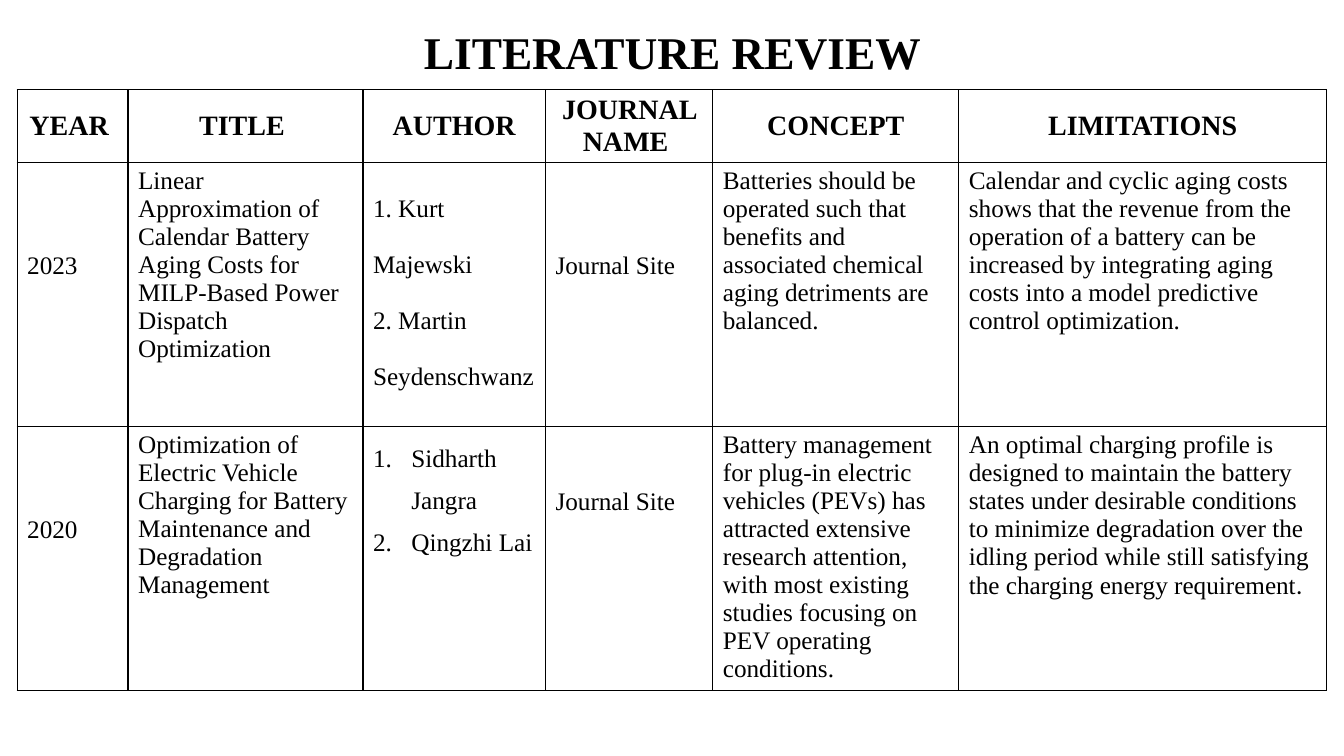
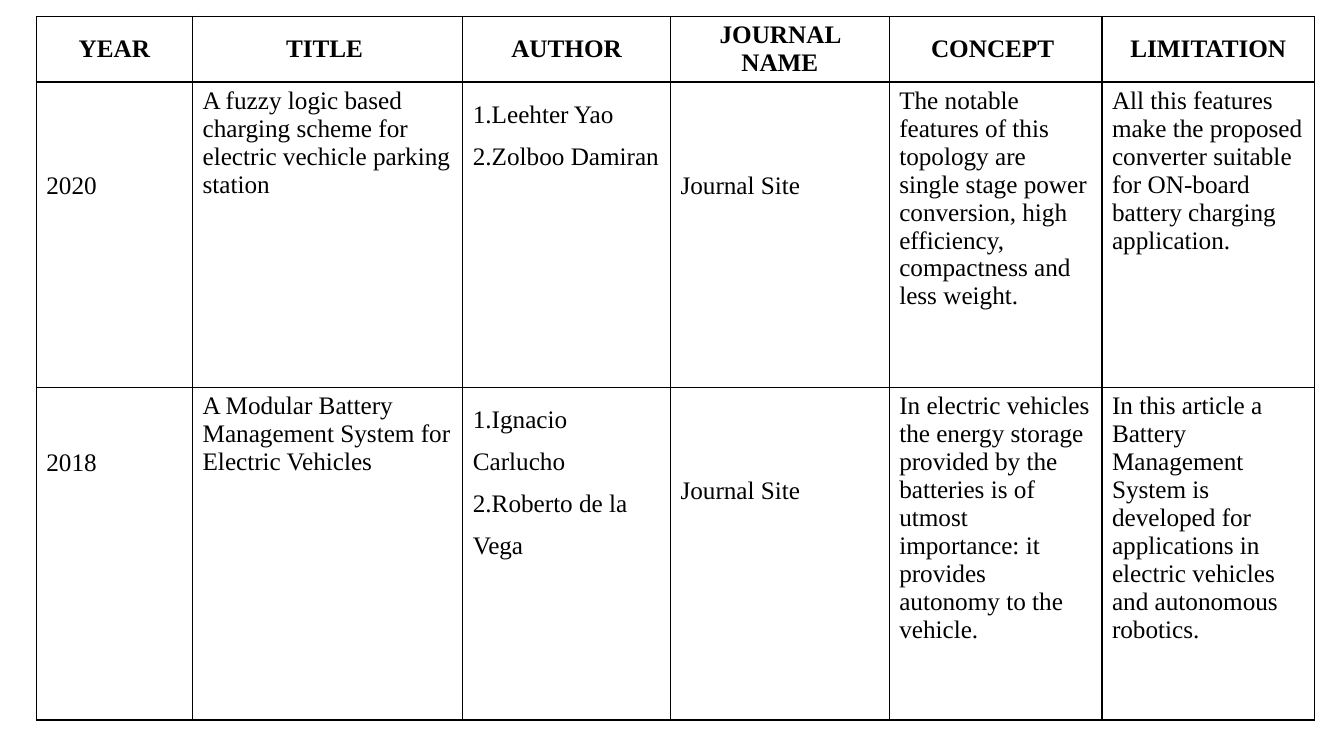
from dataclasses import dataclass

from lxml import etree
from pptx import Presentation
from pptx.dml.color import RGBColor
from pptx.enum.text import MSO_ANCHOR, MSO_AUTO_SIZE, PP_ALIGN
from pptx.oxml.ns import qn
from pptx.util import Inches, Pt

CENTER, LEFT = PP_ALIGN.CENTER, PP_ALIGN.LEFT
MIDDLE, TOP = MSO_ANCHOR.MIDDLE, MSO_ANCHOR.TOP
NO_AUTOFIT = MSO_AUTO_SIZE.NONE
TITLE_ONLY_LAYOUT, BLANK_LAYOUT = 5, 6


@dataclass(frozen=True)
class Theme:
    font: str = "Times New Roman"
    closing_font: str = "Calibri"
    ink: RGBColor = RGBColor(0, 0, 0)
    title_size: float = 32.4
    body_size: float = 18
    border_width: float = 1
    cell_inset: float = 0.05
    line_height: float = 0.28
    number_indent: float = 0.38


THEME = Theme()


@dataclass(frozen=True)
class Entry:
    """Content of a body cell; lines_down lowers it by that many text lines."""
    paragraphs: tuple
    lines_down: int = 0
    spacing: float = 1
    numbered: bool = False
    closing: str = ""


def plain(text, **options):
    return Entry((text,), **options)


def authors(*names, spacing=1.5, numbered=False):
    return Entry(names, spacing=spacing, numbered=numbered)


def journal(lines_down=3):
    return plain("Journal Site", lines_down=lines_down)


REVIEW_2023 = (
    plain("2023", lines_down=3),
    plain("Linear Approximation of Calendar Battery Aging Costs for "
          "MILP-Based Power Dispatch Optimization"),
    authors("1. Kurt Majewski", "2. Martin Seydenschwanz", spacing=2),
    journal(),
    plain("Batteries should be operated such that benefits and associated "
          "chemical aging detriments are balanced."),
    plain("Calendar and cyclic aging costs shows that the revenue from the "
          "operation of a battery can be increased by integrating aging costs "
          "into a model predictive control optimization."),
)
REVIEW_2020_CHARGING = (
    plain("2020", lines_down=3),
    plain("Optimization of Electric Vehicle Charging for Battery Maintenance "
          "and Degradation Management"),
    authors("Sidharth Jangra", "Qingzhi Lai", numbered=True),
    journal(lines_down=2),
    plain("Battery management for plug-in electric vehicles (PEVs) has "
          "attracted extensive research attention, with most existing studies "
          "focusing on PEV operating conditions."),
    plain("An optimal charging profile is designed to maintain the battery "
          "states under desirable conditions to minimize degradation over the "
          "idling period while still satisfying the charging energy "
          "requirement", closing="."),
)
REVIEW_2020_FUZZY = (
    plain("2020", lines_down=3),
    plain("A fuzzy logic based charging scheme for electric vechicle parking "
          "station"),
    authors("1.Leehter Yao", "2.Zolboo Damiran"),
    journal(),
    plain("The notable features of this topology are single stage power "
          "conversion, high efficiency, compactness and less weight."),
    plain("All this features make the proposed converter suitable for "
          "ON-board battery charging application."),
)
REVIEW_2018 = (
    plain("2018", lines_down=2),
    plain("A Modular Battery Management System for Electric Vehicles"),
    authors("1.Ignacio Carlucho", "2.Roberto de la Vega"),
    journal(),
    plain("In electric vehicles the energy storage provided by the batteries "
          "is of utmost importance: it provides autonomy to the vehicle."),
    plain("In this article a Battery Management System is developed for "
          "applications in electric vehicles and autonomous robotics."),
)


def add_run(paragraph, text, font, size, bold):
    run = paragraph.add_run()
    run.text = text
    run.font.name = font
    run.font.size = Pt(size)
    run.font.bold = bold
    run.font.color.rgb = THEME.ink


def number_paragraph(paragraph):
    properties = paragraph._p.get_or_add_pPr()
    indent = Inches(THEME.number_indent)
    properties.set("marL", str(indent))
    properties.set("indent", str(-indent))
    etree.SubElement(properties, qn("a:buAutoNum"), type="arabicPeriod")


def write_text(frame, paragraphs, size=THEME.body_size, bold=False, align=LEFT,
               spacing=1, numbered=False, closing=""):
    """Fill a text frame; closing ends the last paragraph in the second font."""
    for index, text in enumerate(paragraphs):
        paragraph = frame.add_paragraph() if index else frame.paragraphs[0]
        paragraph.alignment = align
        paragraph.line_spacing = float(spacing)
        if numbered:
            number_paragraph(paragraph)
        add_run(paragraph, text, THEME.font, size, bold)
    if closing:
        add_run(paragraph, closing, THEME.closing_font, size, bold)


def style_cell(cell, anchor, top_inset=THEME.cell_inset):
    cell.vertical_anchor = anchor
    cell.margin_top = Inches(top_inset)
    properties = cell._tc.get_or_add_tcPr()
    for side in ("lnL", "lnR", "lnT", "lnB"):
        border = etree.SubElement(properties, qn(f"a:{side}"),
                                  w=str(Pt(THEME.border_width)))
        fill = etree.SubElement(border, qn("a:solidFill"))
        etree.SubElement(fill, qn("a:srgbClr"), val=str(THEME.ink))
    cell.fill.background()


def add_title(slide, text):
    title = slide.shapes.title
    title.left, title.top = Inches(0.92), Inches(0.24)
    title.width, title.height = Inches(11.5), Inches(0.6)
    frame = title.text_frame
    frame.auto_size = NO_AUTOFIT
    frame.vertical_anchor = MIDDLE
    write_text(frame, (text,), size=THEME.title_size, bold=True, align=CENTER,
               spacing=0.9)


def add_review_table(slide, left, top, widths, heights, headers, reviews,
                     header_size=THEME.body_size):
    table = slide.shapes.add_table(
        len(heights), len(widths), Inches(left), Inches(top),
        Inches(sum(widths)), Inches(sum(heights))).table
    table.first_row = table.horz_banding = False
    for column, width in zip(table.columns, widths):
        column.width = Inches(width)
    for row, height in zip(table.rows, heights):
        row.height = Inches(height)

    for cell, header in zip(table.rows[0].cells, headers):
        style_cell(cell, MIDDLE)
        write_text(cell.text_frame, (header,), size=header_size, bold=True,
                   align=CENTER)
    for row_index, review in enumerate(reviews, start=1):
        for cell, entry in zip(table.rows[row_index].cells, review):
            drop = entry.lines_down * THEME.line_height
            style_cell(cell, TOP, THEME.cell_inset + drop)
            write_text(cell.text_frame, entry.paragraphs,
                       spacing=entry.spacing, numbered=entry.numbered,
                       closing=entry.closing)


def main():
    deck = Presentation()
    deck.slide_width, deck.slide_height = Inches(13.33), Inches(7.5)

    opening = deck.slides.add_slide(deck.slide_layouts[TITLE_ONLY_LAYOUT])
    add_title(opening, "LITERATURE REVIEW")
    add_review_table(
        opening, 0.17, 0.89,
        widths=(1.1, 2.33, 1.81, 1.66, 2.44, 3.65),
        heights=(0.72, 2.62, 2.62),
        headers=("YEAR ", "TITLE ", "AUTHOR", "JOURNAL NAME ", "CONCEPT",
                 "LIMITATIONS"),
        reviews=(REVIEW_2023, REVIEW_2020_CHARGING),
        header_size=20)

    continuation = deck.slides.add_slide(deck.slide_layouts[BLANK_LAYOUT])
    add_review_table(
        continuation, 0.36, 0.16,
        widths=(1.55, 2.68, 2.06, 2.17, 2.11, 2.11),
        heights=(0.65, 3.03, 3.3),
        headers=("YEAR", "TITLE ", "AUTHOR", "JOURNAL NAME", "CONCEPT ",
                 "LIMITATION"),
        reviews=(REVIEW_2020_FUZZY, REVIEW_2018))

    deck.save("out.pptx")


if __name__ == "__main__":
    main()
